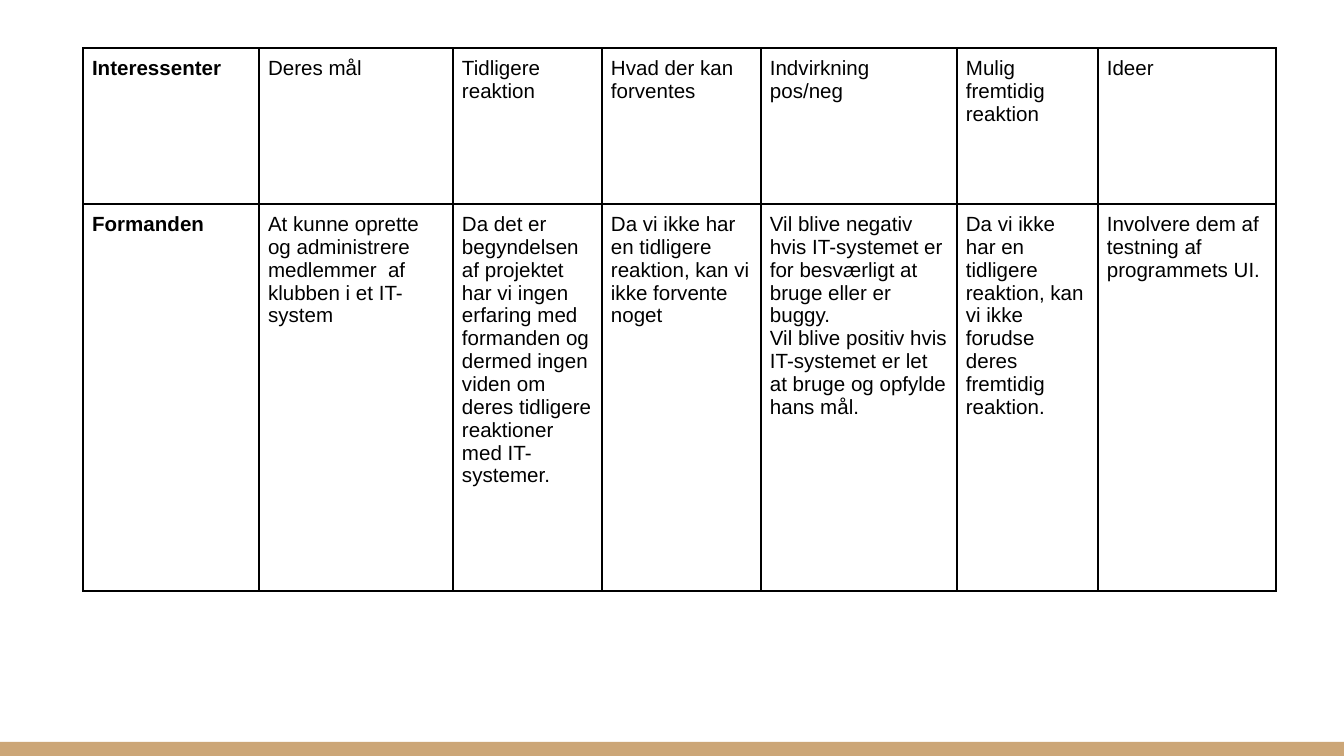
from lxml.etree import SubElement
from pptx import Presentation
from pptx.dml.color import RGBColor
from pptx.enum.shapes import MSO_SHAPE
from pptx.oxml.ns import qn
from pptx.util import Pt

# Content: a header row and one row per stakeholder; "\n" starts a paragraph
ROWS = [
    ["Interessenter", "Deres mål", "Tidligere reaktion", "Hvad der kan forventes",
     "Indvirkning\npos/neg", "Mulig fremtidig\nreaktion", "Ideer"],
    ["Formanden",
     "At kunne oprette og administrere medlemmer  af klubben i et IT-system",
     "Da det er begyndelsen af projektet har vi ingen erfaring med formanden "
     "og dermed ingen viden om deres tidligere reaktioner med IT-systemer.",
     "Da vi ikke har en tidligere reaktion, kan vi ikke forvente noget",
     "Vil blive negativ hvis IT-systemet er for besværligt at bruge eller er buggy.\n"
     "Vil blive positiv hvis IT-systemet er let at bruge og opfylde hans mål.",
     "Da vi ikke har en tidligere reaktion, kan vi ikke forudse deres fremtidig reaktion.",
     "Involvere dem af testning af programmets UI."],
]
COLORS = {"ink": "000000", "bar": "CCA677", "paper": "FFFFFF"}

# Layout in px
SLIDE_W, SLIDE_H = 1344, 756
BAR_H = 14
TABLE_X, TABLE_Y = 83, 48
COL_W = [176, 194, 149, 159, 196, 141, 178]
ROW_H = [156, 387]
INSET = 9


def px(n):
    return round(n * 914400 / 134.4)


def color(name):
    return RGBColor.from_string(COLORS[name])


def add_borders(cell):
    tc_pr = cell._tc.get_or_add_tcPr()
    for i, side in enumerate(("lnL", "lnR", "lnT", "lnB")):
        ln = SubElement(tc_pr, qn(f"a:{side}"), w=str(Pt(1)))
        fill = SubElement(ln, qn("a:solidFill"))
        SubElement(fill, qn("a:srgbClr"), val=COLORS["ink"])
        tc_pr.insert(i, ln)  # borders come before the fill


def fill_cell(cell, text, bold):
    cell.margin_left = cell.margin_right = px(INSET)
    cell.margin_top = cell.margin_bottom = px(INSET)
    cell.fill.background()
    add_borders(cell)
    cell.text_frame.text = text
    for p in cell.text_frame.paragraphs:
        for r in p.runs:
            r.font.name = "Arial"
            r.font.size = Pt(11)
            r.font.bold = bold
            r.font.color.rgb = color("ink")


prs = Presentation()
prs.slide_width, prs.slide_height = px(SLIDE_W), px(SLIDE_H)
slide = prs.slides.add_slide(prs.slide_layouts[6])
slide.background.fill.solid()
slide.background.fill.fore_color.rgb = color("paper")

# Bottom bar
bar = slide.shapes.add_shape(MSO_SHAPE.RECTANGLE, 0, px(SLIDE_H - BAR_H),
                             px(SLIDE_W), px(BAR_H))
bar.shadow.inherit = False
bar.fill.solid()
bar.fill.fore_color.rgb = color("bar")
bar.line.fill.background()

# Stakeholder table
table = slide.shapes.add_table(len(ROWS), len(COL_W), px(TABLE_X), px(TABLE_Y),
                               px(sum(COL_W)), px(sum(ROW_H))).table
table.first_row = table.horz_banding = False
for col, width in zip(table.columns, COL_W):
    col.width = px(width)
for row, height, texts in zip(table.rows, ROW_H, ROWS):
    row.height = px(height)
    for i, (cell, text) in enumerate(zip(row.cells, texts)):
        fill_cell(cell, text, bold=i == 0)

prs.save("out.pptx")
